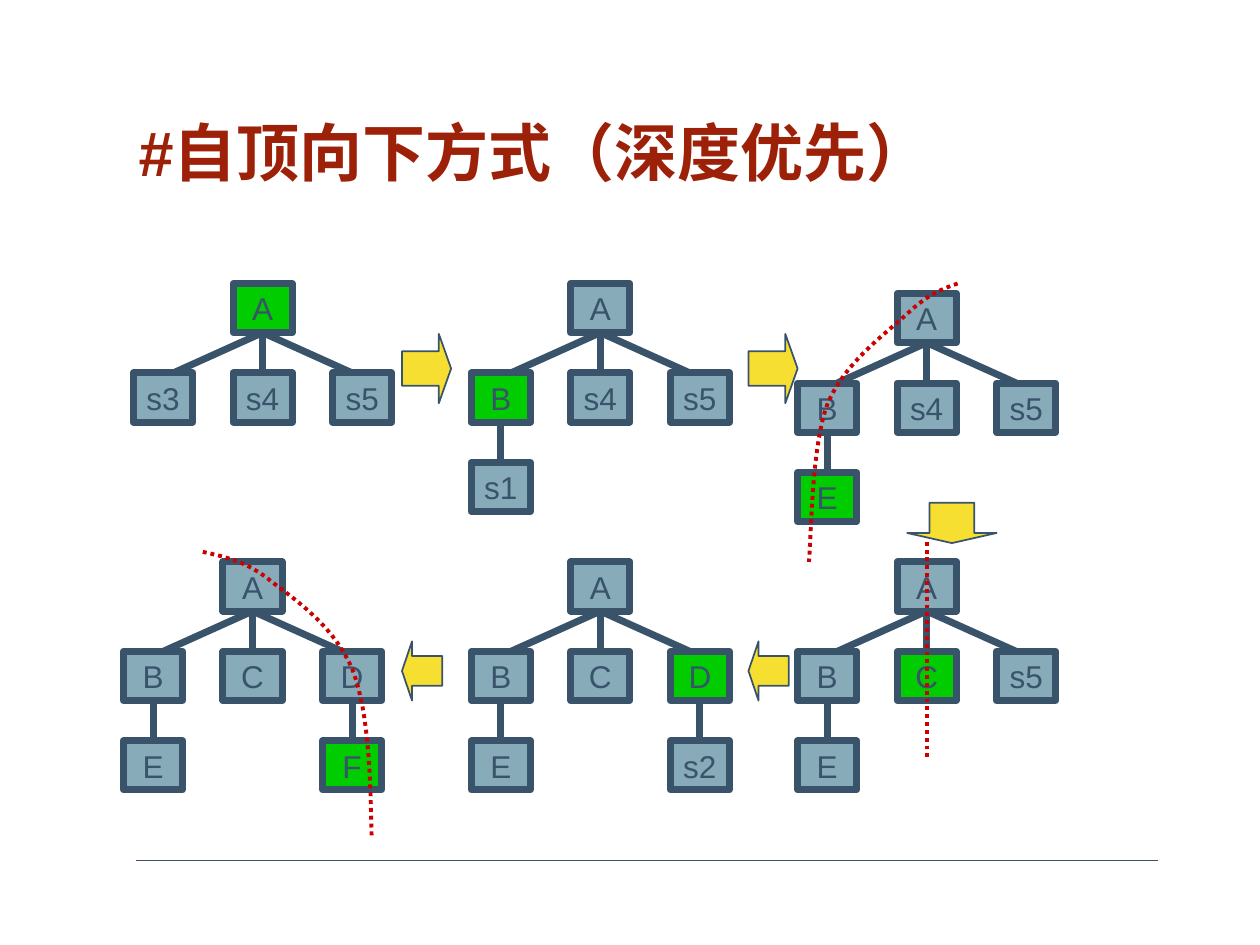
from pptx import Presentation
from pptx.dml.color import RGBColor
from pptx.enum.dml import MSO_LINE
from pptx.enum.shapes import MSO_CONNECTOR, MSO_SHAPE
from pptx.enum.text import MSO_ANCHOR, PP_ALIGN
from pptx.oxml.ns import qn
from pptx.util import Inches, Pt
from lxml import etree

NAVY = RGBColor(0x39, 0x53, 0x6B)
STEEL = RGBColor(0x87, 0xAB, 0xB9)
GREEN = RGBColor(0x00, 0xCC, 0x00)
YELLOW = RGBColor(0xF7, 0xDF, 0x31)
RED = RGBColor(0xCC, 0x00, 0x00)
BRICK = RGBColor(0x9C, 0x21, 0x08)

RECT = MSO_SHAPE.RECTANGLE
RIGHT = MSO_SHAPE.RIGHT_ARROW
LEFT = MSO_SHAPE.LEFT_ARROW
DOWN = MSO_SHAPE.DOWN_ARROW
STRAIGHT = MSO_CONNECTOR.STRAIGHT
DOTTED = MSO_LINE.ROUND_DOT
MIDDLE = MSO_ANCHOR.MIDDLE
CENTER = PP_ALIGN.CENTER

FONT = "Arial"
WIDE, HIGH = 0.47, 0.39
COL, ROW = 0.79, 0.71
LEAN = 0.71

TREES = [
    (1.85, 2.25, ("s3", "s4", "s5"), {}, "A"),
    (4.53, 2.25, ("B", "s4", "s5"), {0: "s1"}, "B"),
    (7.12, 2.33, ("B", "s4", "s5"), {0: "E"}, "E"),
    (7.12, 4.46, ("B", "C", "s5"), {0: "E"}, "C"),
    (4.53, 4.46, ("B", "C", "D"), {0: "E", 2: "s2"}, "D"),
    (1.77, 4.46, ("B", "C", "D"), {0: "E", 2: "F"}, "F"),
]
ARROWS = [
    (RIGHT, 3.19, 2.65, 0.39, 0.55),
    (RIGHT, 5.94, 2.65, 0.39, 0.55),
    (DOWN, 7.2, 3.99, 0.71, 0.32),
    (LEFT, 5.94, 5.09, 0.32, 0.47),
    (LEFT, 3.19, 5.09, 0.32, 0.47),
]
CURVES = [
    [(7.6, 2.25), (7.49, 2.29), (7.37, 2.33), (7.2, 2.49), (7.03, 2.65),
     (6.71, 2.87), (6.57, 3.2), (6.44, 3.53), (6.44, 4.25), (6.42, 4.46)],
    [(1.61, 4.38), (1.79, 4.42), (1.97, 4.46), (2.16, 4.62), (2.36, 4.77),
     (2.66, 4.98), (2.8, 5.32), (2.93, 5.67), (2.94, 6.16), (2.95, 6.66)],
]


def add_line(slide, start, end, color, width):
    ends = [Inches(v) for v in (*start, *end)]
    line = slide.shapes.add_connector(STRAIGHT, *ends)
    line.line.color.rgb = color
    line.line.width = Pt(width)
    etree.SubElement(line._element.spPr, qn("a:effectLst"))
    return line


def add_box(slide, kind, place, fill, width):
    box = slide.shapes.add_shape(kind, *[Inches(v) for v in place])
    box.shadow.inherit = False
    box.fill.solid()
    box.fill.fore_color.rgb = fill
    box.line.color.rgb = NAVY
    box.line.width = Pt(width)
    return box


def add_node(slide, x, y, label, hot):
    fill = GREEN if label == hot else STEEL
    node = add_box(slide, RECT, (x, y, WIDE, HIGH), fill, 4)
    frame = node.text_frame
    frame.word_wrap = False
    frame.vertical_anchor = MIDDLE
    frame.margin_left = frame.margin_right = Inches(0.12)
    frame.margin_top = frame.margin_bottom = 0
    para = frame.paragraphs[0]
    para.text = label
    para.alignment = CENTER
    para.font.name = FONT
    para.font.size = Pt(18)
    para.font.color.rgb = NAVY
    return node


def add_edge(slide, upper, lower, start, end, joined):
    edge = add_line(slide, start, end, NAVY, 4)
    edge.begin_connect(upper, 2)
    if joined:
        edge.end_connect(lower, 0)


def add_tree(slide, x, y, labels, leaves, hot):
    root = add_node(slide, x, y, "A", hot)
    mid = x + WIDE / 2
    for col, label in enumerate(labels):
        side = col - 1
        left = x + side * COL
        child = add_node(slide, left, y + ROW, label, hot)
        add_edge(slide, root, child, (mid, y + HIGH),
                 (mid + side * LEAN, y + ROW), side == 0)
        if col in leaves:
            leaf = add_node(slide, left, y + 2 * ROW, leaves[col], hot)
            drop = left + WIDE / 2
            add_edge(slide, child, leaf, (drop, y + ROW + HIGH),
                     (drop, y + 2 * ROW), True)


def add_arrow(slide, kind, *place):
    arrow = add_box(slide, kind, place, YELLOW, 1)
    arrow.adjustments[0] = 0.5
    arrow.adjustments[1] = 0.25


def bezier(knots, steps=16):
    points = [knots[0]]
    for i in range(0, len(knots) - 1, 3):
        for step in range(1, steps + 1):
            t = step / steps
            u = 1 - t
            mix = (u ** 3, 3 * u * u * t, 3 * u * t * t, t ** 3)
            points.append(tuple(
                sum(m * knot[axis] for m, knot in zip(mix, knots[i:i + 4]))
                for axis in (0, 1)))
    return points


def add_curve(slide, knots):
    points = [(Inches(x), Inches(y)) for x, y in bezier(knots)]
    pen = slide.shapes.build_freeform(*points[0])
    pen.add_line_segments(points[1:], close=False)
    curve = pen.convert_to_shape()
    curve.shadow.inherit = False
    curve.fill.background()
    curve.line.color.rgb = RED
    curve.line.width = Pt(2.25)
    curve.line.dash_style = DOTTED


def add_title(slide, text):
    box = slide.shapes.add_textbox(
        Inches(1.1), Inches(0.97), Inches(8.12), Inches(0.61))
    frame = box.text_frame
    frame.word_wrap = True
    frame.margin_left = frame.margin_right = 0
    frame.margin_top = frame.margin_bottom = 0
    para = frame.paragraphs[0]
    para.text = text
    para.line_spacing = 0.89
    para.space_before = Pt(22.5)
    para.font.name = FONT
    para.font.size = Pt(36)
    para.font.bold = True
    para.font.color.rgb = BRICK


def main():
    deck = Presentation()
    deck.slide_width = Inches(10)
    deck.slide_height = Inches(7.5)
    slide = deck.slides.add_slide(deck.slide_layouts[6])
    add_line(slide, (1.08, 6.83), (9.19, 6.83), NAVY, 1)
    add_title(slide, "#自顶向下方式（深度优先）")
    for tree in TREES:
        add_tree(slide, *tree)
    for arrow in ARROWS:
        add_arrow(slide, *arrow)
    for knots in CURVES:
        add_curve(slide, knots)
    cut = add_line(slide, (7.36, 4.3), (7.36, 6.03), RED, 2.25)
    cut.line.dash_style = DOTTED
    deck.save("out.pptx")


if __name__ == "__main__":
    main()
